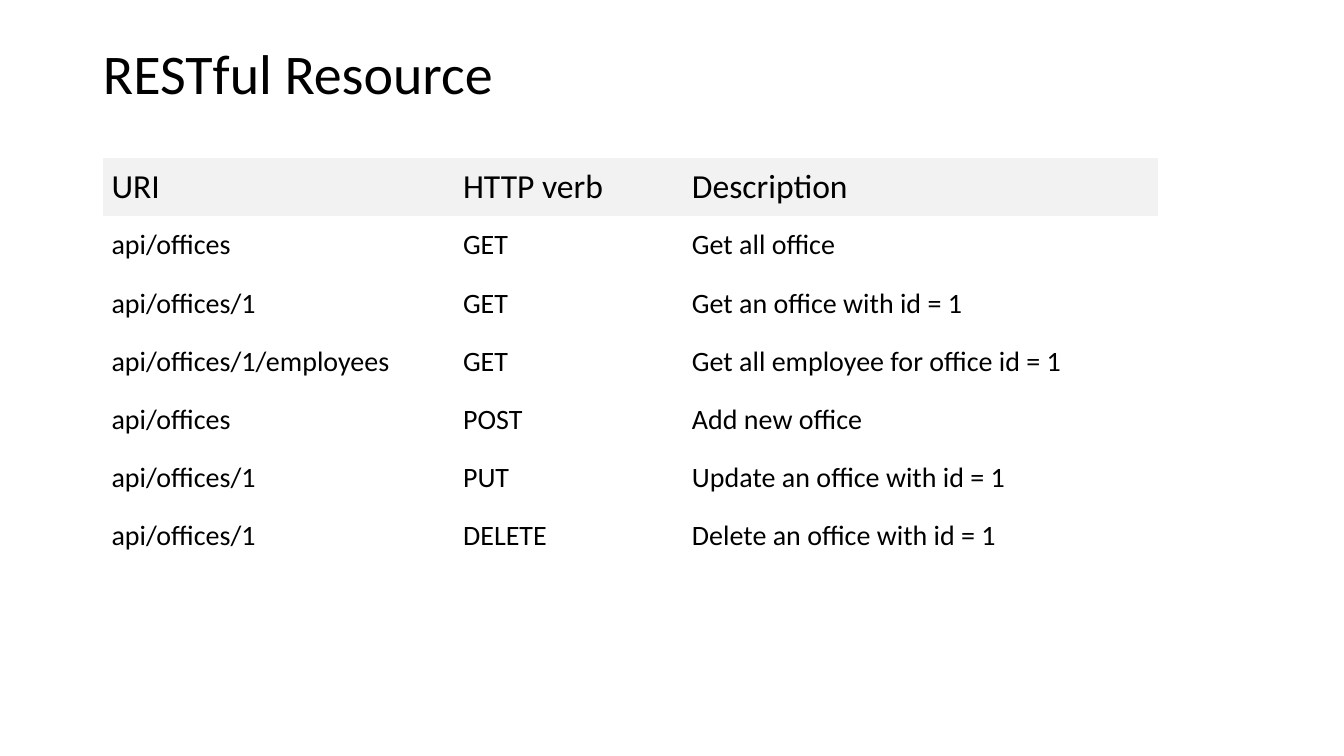
import pptx
import pptx.util
import pptx.dml.color
import pptx.enum.text
import pptx.oxml.ns

Cm = pptx.util.Cm


def color(hex_code):
    return pptx.dml.color.RGBColor.from_string(hex_code)


def write(frame, text, size, spacing=1.0, font="Calibri", ink="000000"):
    frame.text = text
    paragraph = frame.paragraphs[0]
    paragraph.alignment = pptx.enum.text.PP_ALIGN.LEFT
    paragraph.line_spacing = spacing
    run = paragraph.runs[0]
    run.font.name = font
    run.font.size = pptx.util.Pt(size)
    run.font.bold = False
    run.font.color.rgb = color(ink)


endpoints = [
    ("URI", "HTTP verb", "Description"),
    ("api/offices", "GET", "Get all office"),
    ("api/offices/1", "GET", "Get an office with id = 1"),
    ("api/offices/1/employees", "GET", "Get all employee for office id = 1"),
    ("api/offices", "POST", "Add new office"),
    ("api/offices/1", "PUT", "Update an office with id = 1"),
    ("api/offices/1", "DELETE", "Delete an office with id = 1"),
]
column_widths = [8.86, 5.77, 11.96]
row_height = 1.46

presentation = pptx.Presentation()
presentation.slide_width = Cm(33.87)
presentation.slide_height = Cm(19.05)
slide = presentation.slides.add_slide(presentation.slide_layouts[5])

heading = slide.shapes.title
heading.left, heading.top = Cm(2.34), Cm(1.02)
heading.width, heading.height = Cm(29.21), Cm(1.8)
heading.text_frame.vertical_anchor = pptx.enum.text.MSO_ANCHOR.MIDDLE
write(heading.text_frame, "RESTful Resource", size=40, spacing=0.9)

resource_frame = slide.shapes.add_table(
    len(endpoints), len(column_widths), Cm(2.6), Cm(3.99),
    Cm(sum(column_widths)), Cm(row_height * len(endpoints)))
resources = resource_frame.table
resources.first_row = False
resources.horz_banding = False
for style in resource_frame.element.iter(pptx.oxml.ns.qn("a:tableStyleId")):
    style.text = "{2D5ABB26-0587-4C30-8999-92F81FD0307C}"

for column, width in zip(resources.columns, column_widths):
    column.width = Cm(width)

for row_index, endpoint in enumerate(endpoints):
    is_header = row_index == 0
    resources.rows[row_index].height = Cm(row_height)
    for column_index, text in enumerate(endpoint):
        cell = resources.cell(row_index, column_index)
        cell.vertical_anchor = pptx.enum.text.MSO_ANCHOR.MIDDLE
        cell.margin_left = cell.margin_right = Cm(0.21)
        cell.margin_top = cell.margin_bottom = Cm(0.21 if is_header else 0.3)
        if is_header:
            cell.fill.solid()
            cell.fill.fore_color.rgb = color("F2F2F2")
        else:
            cell.fill.background()
        write(cell.text_frame, text, size=24 if is_header else 20)

presentation.save("out.pptx")
